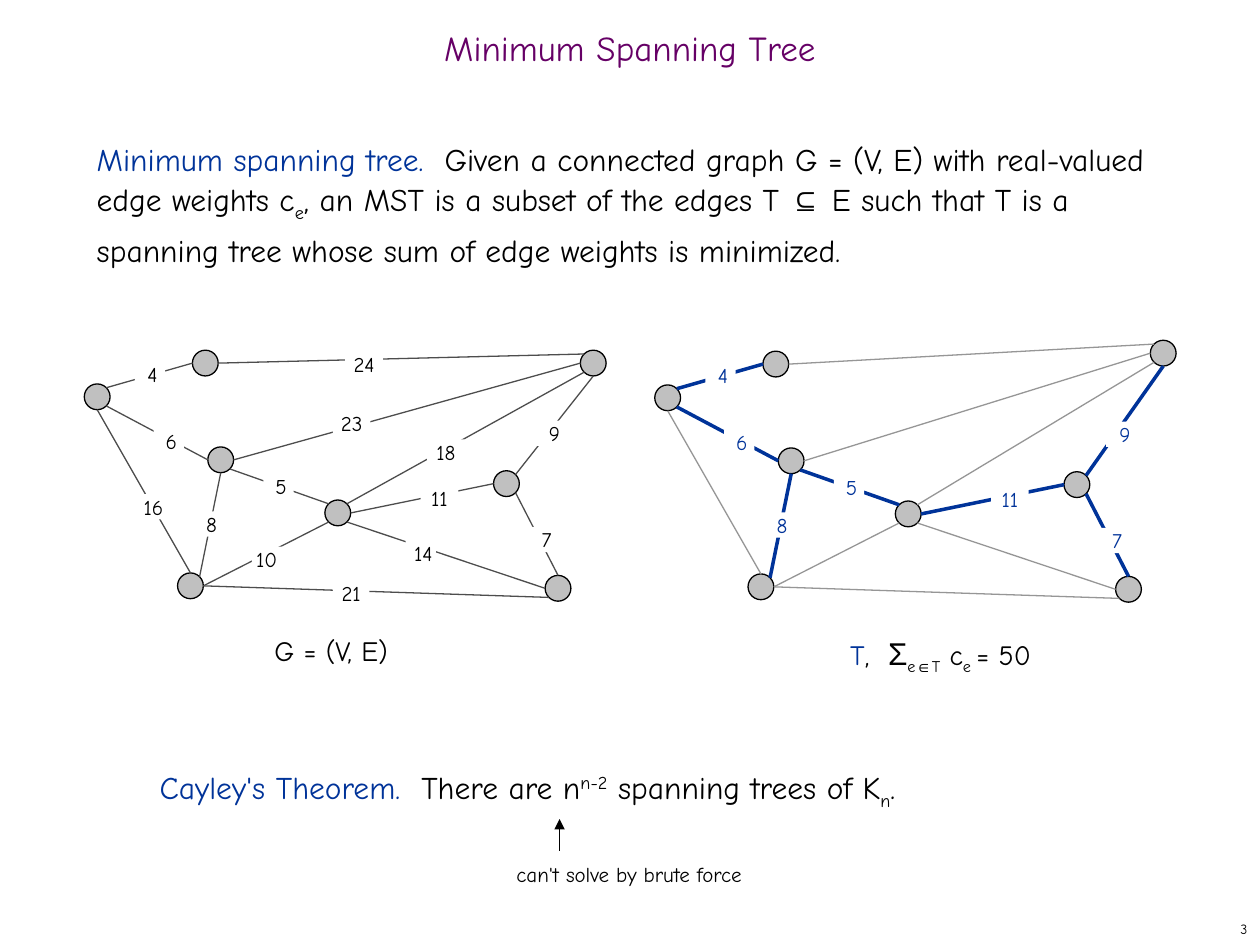
import math

import pptx
import pptx.dml.color
import pptx.enum.shapes
import pptx.enum.text
import pptx.oxml
import pptx.oxml.ns
import pptx.util
from pptx.util import Cm

ALIGN = pptx.enum.text.PP_ALIGN
ANCHOR = pptx.enum.text.MSO_ANCHOR
SHAPE = pptx.enum.shapes.MSO_SHAPE
FONT = "Comic Neue"
COLOURS = {
    "title": "660066", "accent": "003399", "text": "000000", "node": "C0C0C0",
    "edge": "4D4D4D", "faint": "969696", "paper": "FFFFFF",
}
NODE_SIZE = 0.52
LABEL_HEIGHT = 0.51
SUB, SUPER = -25000, 30000

# Node centres of graph G
NODES = {
    "a": (1.96, 8.0), "b": (4.14, 7.32), "c": (11.96, 7.32), "d": (4.45, 9.27),
    "e": (3.84, 11.81), "f": (6.81, 10.34), "g": (10.21, 9.75), "h": (11.25, 11.86),
}
# Weight: node and compass side at each end
EDGES = {
    4: ("a", "NE", "b", "W"), 6: ("a", "SE", "d", "W"),
    16: ("a", "S", "e", "N"), 23: ("d", "E", "c", "W"),
    9: ("g", "NE", "c", "S"), 5: ("d", "SE", "f", "NW"),
    14: ("f", "SE", "h", "W"), 11: ("f", "E", "g", "W"),
    7: ("g", "SE", "h", "N"), 18: ("c", "SW", "f", "NE"),
    8: ("d", "S", "e", "NE"), 10: ("e", "E", "f", "SW"),
    24: ("b", "E", "c", "NW"), 21: ("e", "E", "h", "SW"),
}
# Weight: left, top, width, nudge of the number to the right
LABELS = {
    5: (5.31, 9.55, 0.61, 0.1), 23: (6.71, 8.28, 0.76, 0),
    10: (5.08, 11.02, 0.71, -0.12), 21: (6.71, 11.71, 0.74, 0),
    14: (8.18, 10.9, 0.61, 0.1), 24: (6.96, 7.09, 0.76, 0),
    16: (2.74, 9.96, 0.61, 0.1), 6: (3.1, 8.64, 0.61, 0.1),
    4: (2.72, 7.29, 0.61, 0.1), 18: (8.61, 8.86, 0.76, 0),
    9: (10.8, 8.48, 0.76, 0), 7: (10.64, 10.62, 0.76, 0),
    11: (8.48, 9.78, 0.76, 0), 8: (3.91, 10.31, 0.61, 0.1),
}
TREE = {4, 5, 6, 7, 8, 9, 11}
COMPASS = ["E", "SE", "S", "SW", "W", "NW", "N", "NE"]


def rgb(name):
    return pptx.dml.color.RGBColor.from_string(COLOURS[name])


def set_all(target, values):
    for name, value in values.items():
        setattr(target, name, value)


def write(paragraph, runs, size, **paragraph_format):
    """Add runs given as (text, dict of what differs from plain text)."""
    set_all(paragraph, paragraph_format)
    for text, changes in runs:
        run = paragraph.add_run()
        run.text = text
        set_all(run.font, {
            "name": changes.get("font", FONT),
            "size": pptx.util.Pt(changes.get("size", size)),
            "bold": False,
        })
        run.font.color.rgb = rgb(changes.get("colour", "text"))
        if "baseline" in changes:
            run.font._element.set("baseline", str(changes["baseline"]))


def add_text(slide, box, runs, size, wrap=True, anchor=ANCHOR.TOP, **paragraph_format):
    frame = slide.shapes.add_textbox(*map(Cm, box)).text_frame
    set_all(frame, {"word_wrap": wrap, "vertical_anchor": anchor})
    write(frame.paragraphs[0], runs, size, **paragraph_format)


def add_title(slide, text):
    title = slide.shapes.title
    set_all(title, {"left": 0, "top": Cm(0.43), "width": Cm(25.4), "height": Cm(1.27)})
    set_all(title.text_frame, {
        "vertical_anchor": ANCHOR.MIDDLE,
        "auto_size": pptx.enum.text.MSO_AUTO_SIZE.NONE,
    })
    write(title.text_frame.paragraphs[0], [(text, {"colour": "title"})], 20,
          alignment=ALIGN.CENTER, line_spacing=0.7)


def add_filled(slide, kind, box, fill):
    shape = slide.shapes.add_shape(kind, *map(Cm, box))
    shape.shadow.inherit = False
    shape.fill.solid()
    shape.fill.fore_color.rgb = rgb(fill)
    return shape


def add_node(slide, x, y):
    box = (x - NODE_SIZE / 2, y - NODE_SIZE / 2, NODE_SIZE, NODE_SIZE)
    node = add_filled(slide, SHAPE.OVAL, box, "node")
    node.line.color.rgb = rgb("text")
    node.line.width = pptx.util.Pt(0.75)


def add_line(slide, start, end, colour, width=0.75, arrow=False):
    line = slide.shapes.add_connector(
        pptx.enum.shapes.MSO_CONNECTOR.STRAIGHT, *map(Cm, (*start, *end)))
    line.line.color.rgb = rgb(colour)
    line.line.width = pptx.util.Pt(width)
    if arrow:
        head = pptx.oxml.parse_xml(
            f'<a:tailEnd {pptx.oxml.ns.nsdecls("a")} type="triangle"/>')
        line.line._get_or_add_ln().append(head)
    line._element.spPr.append(
        pptx.oxml.parse_xml(f'<a:effectLst {pptx.oxml.ns.nsdecls("a")}/>'))


def add_weight(slide, weight, left, top, width, nudge, colour):
    label = add_filled(slide, SHAPE.RECTANGLE, (left, top, width, LABEL_HEIGHT), "paper")
    label.line.fill.background()
    frame = label.text_frame
    set_all(frame, {
        "margin_left": Cm(max(nudge, 0)), "margin_right": Cm(max(-nudge, 0)),
        "margin_top": 0, "margin_bottom": 0,
        "word_wrap": True, "vertical_anchor": ANCHOR.TOP,
    })
    write(frame.paragraphs[0], [(str(weight), {"colour": colour})], 12,
          alignment=ALIGN.CENTER)


def rim_point(centre, side):
    """Point on a node's rim in a compass direction."""
    angle = math.radians(45 * COMPASS.index(side))
    radius = NODE_SIZE / 2
    return centre[0] + radius * math.cos(angle), centre[1] + radius * math.sin(angle)


def add_graph(slide, nodes, edge_styles, labels, label_colour):
    for centre in nodes.values():
        add_node(slide, *centre)
    for weight, (first, first_side, second, second_side) in EDGES.items():
        add_line(slide, rim_point(nodes[first], first_side),
                 rim_point(nodes[second], second_side), *edge_styles[weight])
    for weight, place in labels.items():
        add_weight(slide, weight, *place, label_colour)


def main():
    presentation = pptx.Presentation()
    presentation.slide_width, presentation.slide_height = Cm(25.4), Cm(19.05)
    slide = presentation.slides.add_slide(presentation.slide_layouts[5])
    accent, symbol, sub = {"colour": "accent"}, {"font": "Arial"}, {"baseline": SUB}
    leading = pptx.util.Pt(26)

    add_title(slide, "Minimum Spanning Tree")
    add_text(slide, (1.7, 2.54, 21.8, 3), [
        ("Minimum spanning tree.  ", accent),
        ("Given a connected graph G = (V, E) with real-valued edge weights c", {}),
        ("e", sub),
        (", an MST is a subset of the edges T ", {}),
        ("⊆", symbol),
        (" E such that T is a spanning tree whose sum of edge weights is minimized.", {}),
    ], 18, line_spacing=leading)

    add_graph(slide, NODES, {weight: ("edge", 0.75) for weight in EDGES}, LABELS, "text")
    shift_x, shift_y = 11.5, 0.02
    tree_nodes = {name: (x + shift_x, y + shift_y) for name, (x, y) in NODES.items()}
    tree_nodes["c"] = (23.45, 7.12)
    tree_styles = {weight: ("accent", 2) if weight in TREE else ("faint", 0.75)
                   for weight in EDGES}
    tree_labels = {weight: (left + shift_x, top + shift_y, width, nudge)
                   for weight, (left, top, width, nudge) in LABELS.items()
                   if weight in TREE}
    add_graph(slide, tree_nodes, tree_styles, tree_labels, "accent")

    add_text(slide, (5.28, 12.65, 3.6, 0.94), [("G = (V, E)", {})], 16)
    add_text(slide, (16.89, 12.65, 4.65, 1.09), [
        ("T", accent), (",  ", {}), ("Σ", {"font": "Arial", "size": 18}),
        ("e", sub), ("∈", {**symbol, **sub}), ("T", sub),
        (" c", {}), ("e ", sub), ("= 50", {}),
    ], 16)

    add_text(slide, (2.97, 15.3, 19, 1.2), [
        ("Cayley's Theorem.  ", accent), ("There are n", {}),
        ("n-2", {"baseline": SUPER}), (" spanning trees of K", {}),
        ("n", sub), (".", {}),
    ], 18, line_spacing=leading)
    add_line(slide, (11.28, 17.15), (11.28, 16.51), "text", arrow=True)
    add_text(slide, (10.16, 17.25, 5.1, 0.76),
             [("can't solve by brute force", {})], 12, wrap=False)
    add_text(slide, (20.12, 18.42, 5.28, 0.63), [("3", {})], 8,
             anchor=ANCHOR.MIDDLE, alignment=ALIGN.RIGHT)
    presentation.save("out.pptx")


if __name__ == "__main__":
    main()
